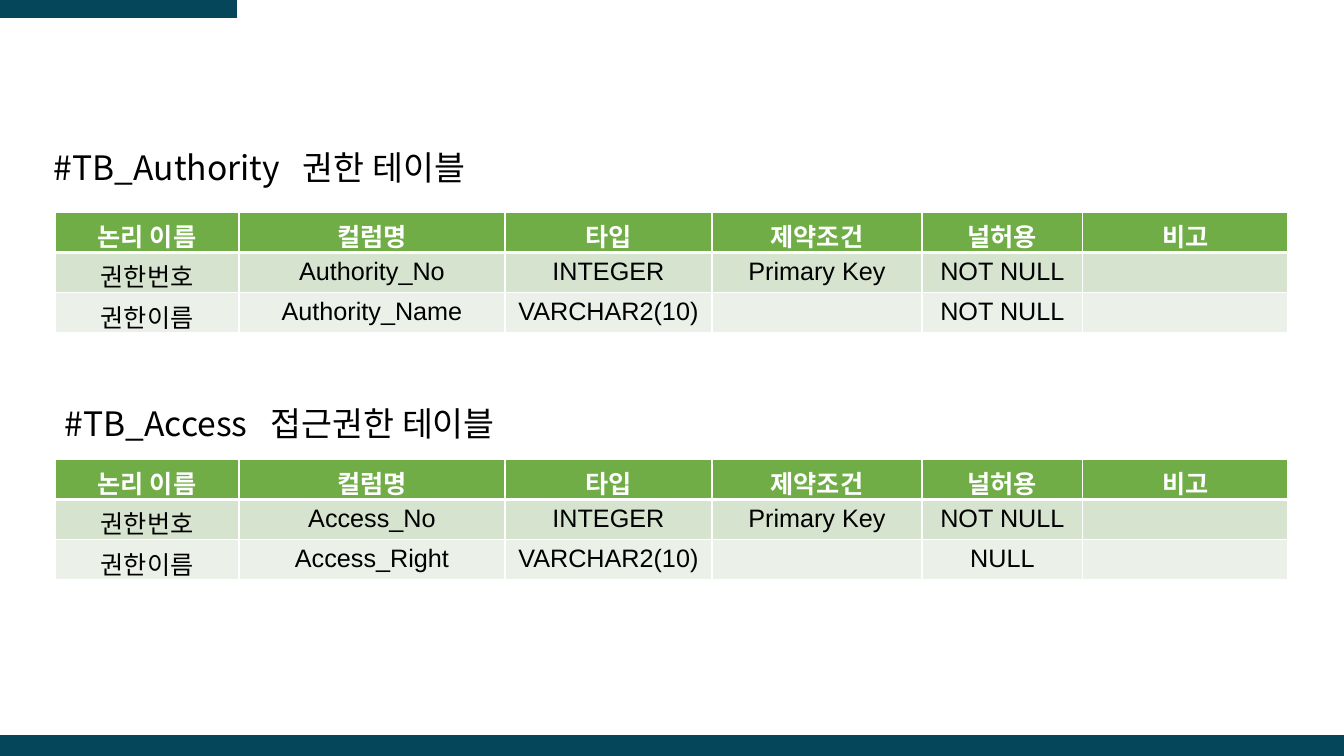
from lxml.etree import SubElement
from pptx import Presentation
from pptx.dml.color import RGBColor
from pptx.enum.shapes import MSO_SHAPE
from pptx.enum.text import MSO_ANCHOR, PP_ALIGN
from pptx.oxml.ns import qn
from pptx.util import Pt

EMU_PER_PX = 914400 / 100.8
SLIDE_SIZE = (1344, 756)
BARS = [(0, 0, 237, 18), (0, 735, 1344, 21)]
TABLE_LEFT = 55
COLUMN_WIDTHS = [184, 266, 207, 210, 161, 205]
ROW_HEIGHT = 35
HEADING_HEIGHT = 43
HEADER = ["논리 이름", "컬럼명", "타입", "제약조건", "널허용", "비고"]
ROW_FILLS = ["70AD47", "D5E3CF", "EBF1E9"]
SECTIONS = [
    {
        "heading": "#TB_Access\t접근권한 테이블",
        "heading_at": (55, 404, 828),
        "tab": 206,
        "table_top": 459,
        "rows": [
            ["권한번호", "Access_No", "INTEGER", "Primary Key", "NOT NULL", ""],
            ["권한이름", "Access_Right", "VARCHAR2(10)", "", "NULL", ""],
        ],
    },
    {
        "heading": "#TB_Authority\t권한 테이블",
        "heading_at": (44, 148, 473),
        "tab": 249,
        "table_top": 212,
        "rows": [
            ["권한번호", "Authority_No", "INTEGER", "Primary Key", "NOT NULL", ""],
            ["권한이름", "Authority_Name", "VARCHAR2(10)", "", "NOT NULL", ""],
        ],
    },
]


def px(length):
    return round(length * EMU_PER_PX)


def color(value):
    return RGBColor.from_string(value)


def write(frame, text, size=18, font="Arial", fill="000000", bold=False,
          align=PP_ALIGN.CENTER, spacing=None, tab=None):
    paragraph = frame.paragraphs[0]
    paragraph.text = text
    paragraph.alignment = align
    paragraph.line_spacing = spacing
    if tab:
        tabs = SubElement(paragraph._p.get_or_add_pPr(), qn("a:tabLst"))
        SubElement(tabs, qn("a:tab"), pos=str(px(tab)), algn="l")
    paragraph.font.size = Pt(size)
    paragraph.font.name = font
    paragraph.font.bold = bold
    paragraph.font.color.rgb = color(fill)


def set_borders(cell, **widths):
    """Draw white cell borders, with widths in points by side: L, R, T, B."""
    properties = cell._tc.get_or_add_tcPr()
    for index, side in enumerate("LRTB"):
        line = SubElement(properties, qn(f"a:ln{side}"), w=str(Pt(widths.get(side, 1))))
        solid = SubElement(line, qn("a:solidFill"))
        SubElement(solid, qn("a:srgbClr"), val="FFFFFF")
        properties.insert(index, line)


def add_bar(slide, box):
    bar = slide.shapes.add_shape(MSO_SHAPE.RECTANGLE, *map(px, box))
    bar.shadow.inherit = False
    bar.fill.solid()
    bar.fill.fore_color.rgb = color("06465B")
    bar.line.fill.background()


def add_heading(slide, text, position, tab):
    heading = slide.shapes.add_textbox(*map(px, (*position, HEADING_HEIGHT)))
    frame = heading.text_frame
    frame.word_wrap = True
    frame.vertical_anchor = MSO_ANCHOR.MIDDLE
    write(frame, text, size=24, font="Noto Sans CJK KR",
          align=PP_ALIGN.LEFT, spacing=0.9, tab=tab)


def add_column_table(slide, top, rows):
    box = (TABLE_LEFT, top, sum(COLUMN_WIDTHS), ROW_HEIGHT * len(rows))
    table = slide.shapes.add_table(len(rows), len(HEADER), *map(px, box)).table
    table.horz_banding = False
    for column, width in zip(table.columns, COLUMN_WIDTHS):
        column.width = px(width)
    for row_index, (row, fill) in enumerate(zip(rows, ROW_FILLS)):
        table.rows[row_index].height = px(ROW_HEIGHT)
        is_header = row_index == 0
        for column_index, text in enumerate(row):
            cell = table.cell(row_index, column_index)
            cell.fill.solid()
            cell.fill.fore_color.rgb = color(fill)
            set_borders(cell, B=3 if is_header else 1, T=3 if row_index == 1 else 1)
            write(cell.text_frame, text, bold=is_header,
                  fill="FFFFFF" if is_header else "000000")


def main():
    presentation = Presentation()
    presentation.slide_width, presentation.slide_height = map(px, SLIDE_SIZE)
    slide = presentation.slides.add_slide(presentation.slide_layouts[6])
    for box in BARS:
        add_bar(slide, box)
    for section in SECTIONS:
        add_heading(slide, section["heading"], section["heading_at"], section["tab"])
        add_column_table(slide, section["table_top"], [HEADER, *section["rows"]])
    presentation.save("out.pptx")


if __name__ == "__main__":
    main()
